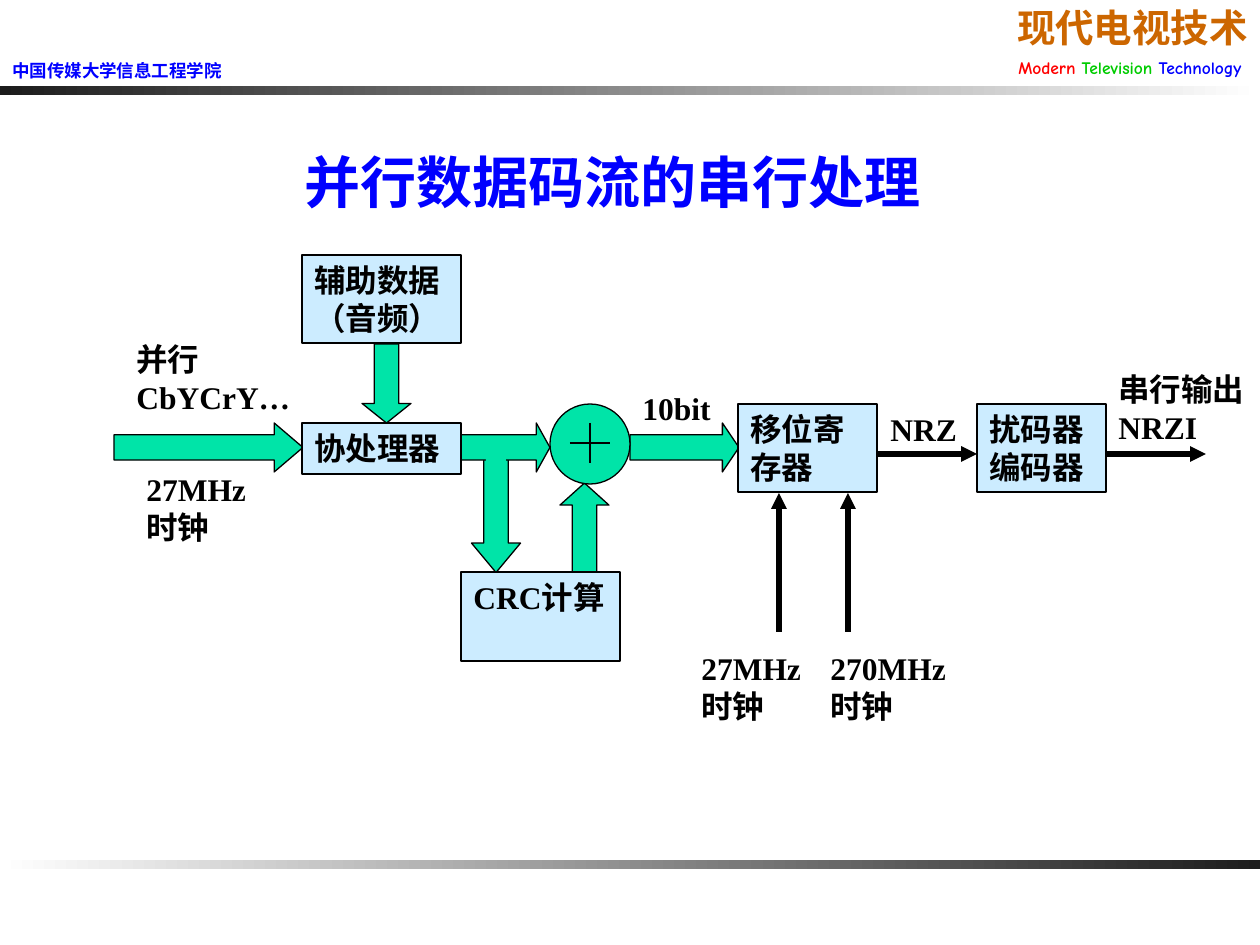
from typing import NamedTuple

from lxml.etree import SubElement
from pptx import Presentation
from pptx.dml.color import RGBColor
from pptx.enum.shapes import MSO_CONNECTOR as CONN, MSO_SHAPE as SHAPE
from pptx.enum.text import MSO_ANCHOR as ANCHOR, PP_ALIGN as ALIGN
from pptx.oxml.ns import qn
from pptx.util import Pt

PX = 914400 / 126
SERIF = "Times New Roman"
COLORS = {
    "black": "000000", "dark": "1C1C1C", "white": "FFFFFF", "blue": "0000FF",
    "red": "FF0000", "lime": "00CC00", "orange": "CC6600",
    "box": "CCECFF", "arrow": "00E4A8",
}


class Label(NamedTuple):
    text: str
    x: int
    y: int
    w: int
    h: int
    size: int = 18
    color: str = "black"
    font: str = SERIF


class Arrow(NamedTuple):
    x: int
    y: int
    w: int
    h: int
    shaft: float
    head: float
    turn: int = 0


class Line(NamedTuple):
    x1: int
    y1: int
    x2: int
    y2: int
    width: float = 3
    head: bool = True


class Bar(NamedTuple):
    y: int
    right: str
    left: str


class Run(NamedTuple):
    text: str
    color: str
    size: int = 10
    font: str = "Comic Neue"
    bold: bool = True


BARS = [Bar(86, "white", "dark"), Bar(860, "dark", "white")]
HEADER = [
    [Run("现代电视技术", "orange", 22, SERIF)],
    [Run("Modern ", "red"), Run("Television ", "lime"), Run("Technology", "blue"),
     Run(" ", "black", 14, SERIF, False)],
]
BOXES = [
    Label("辅助数据（音频）", 302, 255, 159, 88),
    Label("协处理器", 302, 423, 159, 51),
    Label("CRC计算", 461, 572, 159, 89),
    Label("移位寄存器", 738, 404, 139, 88),
    Label("扰码器编码器", 977, 404, 129, 88),
]
LABELS = [
    Label("中国传媒大学信息工程学院", 0, 54, 253, 34, 10, "blue", "Quicksand"),
    Label("并行数据码流的串行处理", 292, 141, 665, 81, 32, "blue"),
    Label("27MHz时钟", 689, 643, 129, 88),
    Label("270MHz时钟", 818, 643, 159, 88),
    Label("27MHz时钟", 134, 464, 129, 88),
    Label("并行CbYCrY…", 124, 334, 189, 88),
    Label("串行输出NRZI", 1106, 364, 159, 88),
    Label("NRZ", 878, 404, 129, 50),
    Label("10bit", 630, 383, 129, 50),
]
ARROWS = [
    Arrow(436, 488, 120, 49, 0.5, 0.6, 90),
    Arrow(347, 359, 79, 49, 0.5, 0.4, 90),
    Arrow(461, 423, 89, 49, 0.515, 0.278),
    Arrow(114, 423, 189, 49, 0.515, 0.587),
    Arrow(630, 423, 109, 49, 0.515, 0.339),
    Arrow(540, 503, 89, 49, 0.5, 0.45, 270),
]
LINES = [
    Line(878, 454, 977, 454),
    Line(1106, 454, 1206, 454),
    Line(848, 632, 848, 493),
    Line(779, 632, 779, 493),
    Line(570, 443, 610, 443, 0.75, False),
    Line(590, 423, 590, 463, 0.75, False),
]


def px(*values: int) -> list[int]:
    """Turn pixel lengths into EMU."""
    return [round(v * PX) for v in values]


def rgb(name: str) -> RGBColor:
    """Look up a named colour."""
    return RGBColor.from_string(COLORS[name])


def set_font(font, size: int, color: str, name: str, bold: bool = True) -> None:
    """Set size, colour, face and weight of a font."""
    font.size, font.name, font.bold = Pt(size), name, bold
    font.color.rgb = rgb(color)


def add_shape(s, kind: SHAPE, x: int, y: int, w: int, h: int,
              fill: str = "arrow", outlined: bool = True):
    """Draw a flat filled shape, with a thin black outline if wanted."""
    sp = s.shapes.add_shape(kind, *px(x, y, w, h))
    sp.shadow.inherit = False
    sp.fill.solid()
    sp.fill.fore_color.rgb = rgb(fill)
    if outlined:
        sp.line.color.rgb = rgb("black")
        sp.line.width = Pt(0.75)
    else:
        sp.line.fill.background()
    return sp


def write(sp, label: Label) -> None:
    """Put a label's text into a shape, top left and wrapped."""
    tf = sp.text_frame
    tf.word_wrap = True
    tf.vertical_anchor = ANCHOR.TOP
    p = tf.paragraphs[0]
    p.text = label.text
    p.alignment = ALIGN.LEFT
    set_font(p.font, label.size, label.color, label.font)


def add_bar(s, bar: Bar) -> None:
    """Draw a full-width gradient bar."""
    sp = add_shape(s, SHAPE.RECTANGLE, 0, bar.y, 1260, 9, outlined=False)
    sp.fill.gradient()
    sp.fill.gradient_angle = 180
    for stop, color in zip(sp.fill.gradient_stops, (bar.right, bar.left)):
        stop.color.rgb = rgb(color)


def add_header(s) -> None:
    """Write the course name in the top right corner."""
    tf = s.shapes.add_textbox(*px(868, 33, 392, 53)).text_frame
    tf.word_wrap = True
    tf.vertical_anchor = ANCHOR.BOTTOM
    for i, runs in enumerate(HEADER):
        p = tf.add_paragraph() if i else tf.paragraphs[0]
        p.alignment = ALIGN.RIGHT
        for run in runs:
            r = p.add_run()
            r.text = run.text
            set_font(r.font, run.size, run.color, run.font, run.bold)


def add_arrow(s, arrow: Arrow) -> None:
    """Draw a block arrow, turned about its centre."""
    sp = add_shape(s, SHAPE.RIGHT_ARROW, *arrow[:4])
    sp.adjustments[0], sp.adjustments[1] = arrow.shaft, arrow.head
    sp.rotation = arrow.turn


def add_line(s, line: Line) -> None:
    """Draw a straight line, with an arrowhead if wanted."""
    sp = s.shapes.add_connector(CONN.STRAIGHT, *px(*line[:4]))
    sp.line.color.rgb = rgb("black")
    sp.line.width = Pt(line.width)
    if line.head:
        SubElement(sp.line._get_or_add_ln(), qn("a:tailEnd"), type="triangle")
    SubElement(sp._element.spPr, qn("a:effectLst"))


def main() -> None:
    """Build the slide and save it."""
    prs = Presentation()
    prs.slide_width, prs.slide_height = px(1260, 945)
    s = prs.slides.add_slide(prs.slide_layouts[6])
    for bar in BARS:
        add_bar(s, bar)
    add_header(s)
    for arrow in ARROWS:
        add_arrow(s, arrow)
    add_shape(s, SHAPE.RECTANGLE, 486, 456, 20, 10, outlined=False)
    add_shape(s, SHAPE.OVAL, 550, 404, 80, 80)
    for box in BOXES:
        write(add_shape(s, SHAPE.RECTANGLE, *box[1:5], fill="box"), box)
    for line in LINES:
        add_line(s, line)
    for label in LABELS:
        write(s.shapes.add_textbox(*px(*label[1:5])), label)
    prs.save("out.pptx")


if __name__ == "__main__":
    main()
